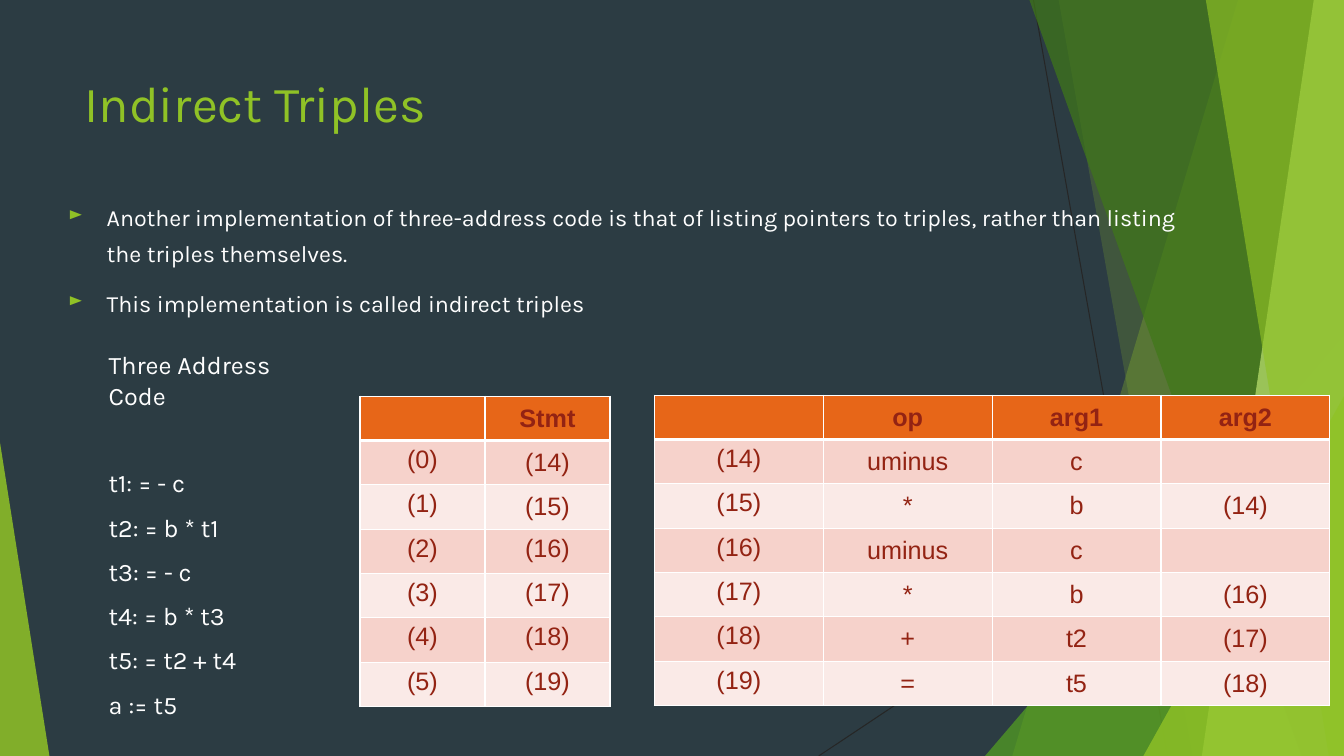
from lxml import etree
from pptx import Presentation
from pptx.dml.color import RGBColor
from pptx.enum import shapes, text
from pptx.oxml.ns import qn
from pptx.util import Inches, Pt

WIDTH, HEIGHT = 13.33, 7.5
GREEN, WHITE = "90C226", "FEFEFE"
HEADER, BANDS, TABLE_TEXT = "E76618", ("F6D2CB", "FAEAE7"), "932313"
HANGING = 0.38


def color(hex_value):
    return RGBColor.from_string(hex_value)


def add_child(parent, tag, **attributes):
    return etree.SubElement(parent, qn(tag), attributes)


def style_facet(facet, fill, opacity):
    facet.shadow.inherit = False
    facet.fill.solid()
    facet.fill.fore_color.rgb = color(fill)
    facet.line.fill.background()
    shade = next(facet._element.spPr.iter(qn("a:srgbClr")))
    add_child(shade, "a:alpha", val=str(opacity * 1000))


def add_hairline(slide, start, end):
    points = [Inches(value) for value in (*start, *end)]
    hairline = slide.shapes.add_connector(shapes.MSO_CONNECTOR.STRAIGHT, *points)
    hairline.line.color.rgb = color("262626")
    hairline.line.width = Pt(0.75)
    add_child(hairline._element.spPr, "a:effectLst")


def add_band(slide, top_x, bottom_x, fill, opacity):
    outline = slide.shapes.build_freeform(Inches(top_x), 0)
    outline.add_line_segments([
        (Inches(x), Inches(y))
        for x, y in ((WIDTH, 0), (WIDTH, HEIGHT), (bottom_x, HEIGHT))
    ])
    style_facet(outline.convert_to_shape(), fill, opacity)


def add_corner(slide, left, top, width, apex, fill, opacity):
    corner = slide.shapes.add_shape(
        shapes.MSO_SHAPE.ISOSCELES_TRIANGLE,
        Inches(left), Inches(top), Inches(width), Inches(HEIGHT - top))
    corner.adjustments[0] = apex
    style_facet(corner, fill, opacity)


def draw_facets(slide):
    slide.background.fill.solid()
    slide.background.fill.fore_color.rgb = color("2C3C43")
    add_hairline(slide, (10.25, 0), (11.58, HEIGHT))
    add_hairline(slide, (WIDTH, 4.03), (8.12, HEIGHT))
    add_band(slide, 12.28, 10.04, GREEN, 30)
    add_band(slide, 10.5, 11.83, GREEN, 20)
    add_corner(slide, 9.77, 3.33, 3.56, 1, "54A021", 72)
    add_band(slide, 10.21, 12.91, "3F7818", 70)
    add_band(slide, 13.03, 11.92, "BFE471", 70)
    add_band(slide, 11.96, 13.18, GREEN, 65)
    add_corner(slide, 11.34, 3.93, 1.99, 1, GREEN, 80)
    add_corner(slide, 0, 4.39, 0.49, 0, GREEN, 85)


def add_paragraphs(slide, box, lines, size, fill):
    frame = slide.shapes.add_textbox(*map(Inches, box)).text_frame
    frame.word_wrap = True
    frame.text = "\n".join(lines)
    for paragraph in frame.paragraphs:
        for run in paragraph.runs:
            run.font.name = "Karla"
            run.font.size = Pt(size)
            run.font.color.rgb = color(fill)
    for paragraph in frame.paragraphs[1:]:
        paragraph.space_before = Pt(10)
    return frame.paragraphs


def hang(paragraph):
    properties = paragraph._p.get_or_add_pPr()
    properties.set("marL", str(Inches(HANGING)))
    properties.set("indent", str(-Inches(HANGING)))
    return properties


def draw_bullets(slide, box, points):
    for paragraph in add_paragraphs(slide, box, points, 16.6, WHITE):
        paragraph.line_spacing = 1.3
        properties = hang(paragraph)
        add_child(add_child(properties, "a:buClr"), "a:srgbClr", val=GREEN)
        add_child(properties, "a:buSzPct", val="80000")
        add_child(properties, "a:buChar", char="►")


def draw_code(slide, box, heading, statements):
    _, *code = add_paragraphs(slide, box, [heading, *statements], 18, WHITE)
    for statement in code:
        hang(statement)
    code[0].space_before = Pt(41)


def style_cell(cell, row, fill, middle):
    properties = cell._tc.get_or_add_tcPr()
    for side in "LRTB":
        heavy = (row, side) in ((0, "B"), (1, "T"))
        border = add_child(properties, f"a:ln{side}", w=str(Pt(3 if heavy else 1)))
        add_child(add_child(border, "a:solidFill"), "a:srgbClr", val="FFFFFF")
    cell.fill.solid()
    cell.fill.fore_color.rgb = color(fill)
    if middle:
        cell.vertical_anchor = text.MSO_ANCHOR.MIDDLE
    paragraph = cell.text_frame.paragraphs[0]
    paragraph.alignment = text.PP_ALIGN.CENTER
    paragraph.font.size = Pt(18)
    for run in paragraph.runs:
        run.font.name = "Arial"
        run.font.size = Pt(18)
        run.font.bold = row == 0
        run.font.color.rgb = color(TABLE_TEXT)


def draw_table(slide, box, rows, middle_rows):
    table = slide.shapes.add_table(len(rows), len(rows[0]), *map(Inches, box)).table
    table.first_row = table.horz_banding = False
    for r, values in enumerate(rows):
        for c, value in enumerate(values):
            cell = table.cell(r, c)
            cell.text = value
            fill = BANDS[(r - 1) % 2] if r else HEADER
            style_cell(cell, r, fill, r == 0 or (c > 0 and r < middle_rows))


def main():
    presentation = Presentation()
    presentation.slide_width = Inches(WIDTH)
    presentation.slide_height = Inches(HEIGHT)
    slide = presentation.slides.add_slide(presentation.slide_layouts[6])

    draw_facets(slide)
    add_paragraphs(slide, (0.74, 0.67, 9.4, 0.85), ["Indirect Triples"], 36, GREEN)
    draw_bullets(slide, (0.58, 1.88, 11.42, 1.38), [
        "Another implementation of three-address code is that of listing pointers "
        "to triples, rather than listing the triples themselves.",
        "This implementation is called indirect triples",
    ])

    triples = [
        ("uminus", "c", ""),
        ("*", "b", "(14)"),
        ("uminus", "c", ""),
        ("*", "b", "(16)"),
        ("+", "t2", "(17)"),
        ("=", "t5", "(18)"),
    ]
    pointers = [f"({14 + index})" for index in range(len(triples))]
    statement_rows = [("", "Stmt")]
    statement_rows += [(f"({i})", pointer) for i, pointer in enumerate(pointers)]
    triple_rows = [("", "op", "arg1", "arg2")]
    triple_rows += [(pointer, *triple) for pointer, triple in zip(pointers, triples)]
    draw_table(slide, (3.57, 3.93, 2.48, 3.08), statement_rows, 3)
    draw_table(slide, (6.49, 3.92, 6.7, 3.08), triple_rows, len(triple_rows))

    draw_code(slide, (0.98, 3.42, 2.42, 3.85), "Three Address Code", [
        "t1: = - c", "t2: = b * t1", "t3: = - c",
        "t4: = b * t3", "t5: = t2 + t4", "a := t5",
    ])
    presentation.save("out.pptx")


if __name__ == "__main__":
    main()
